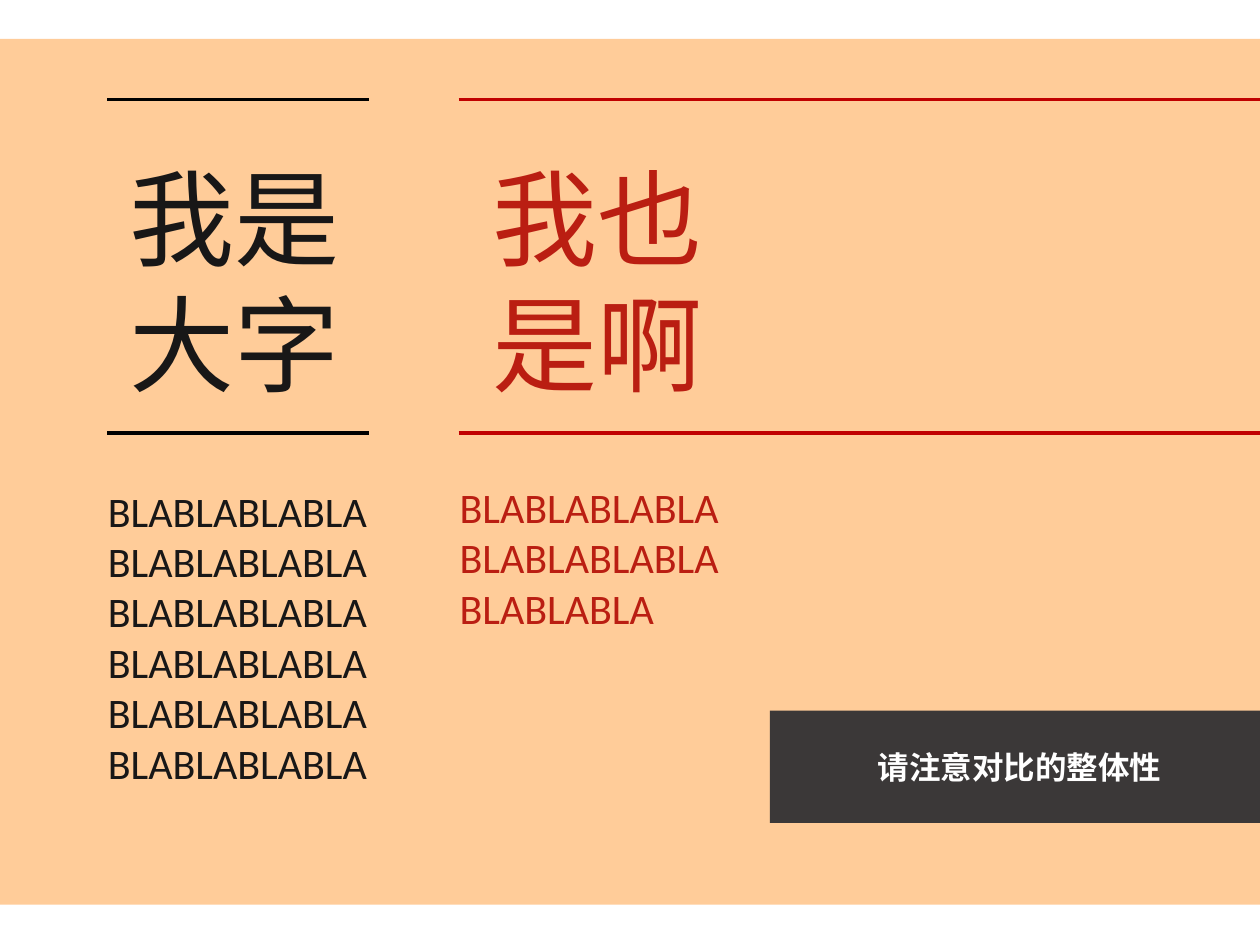
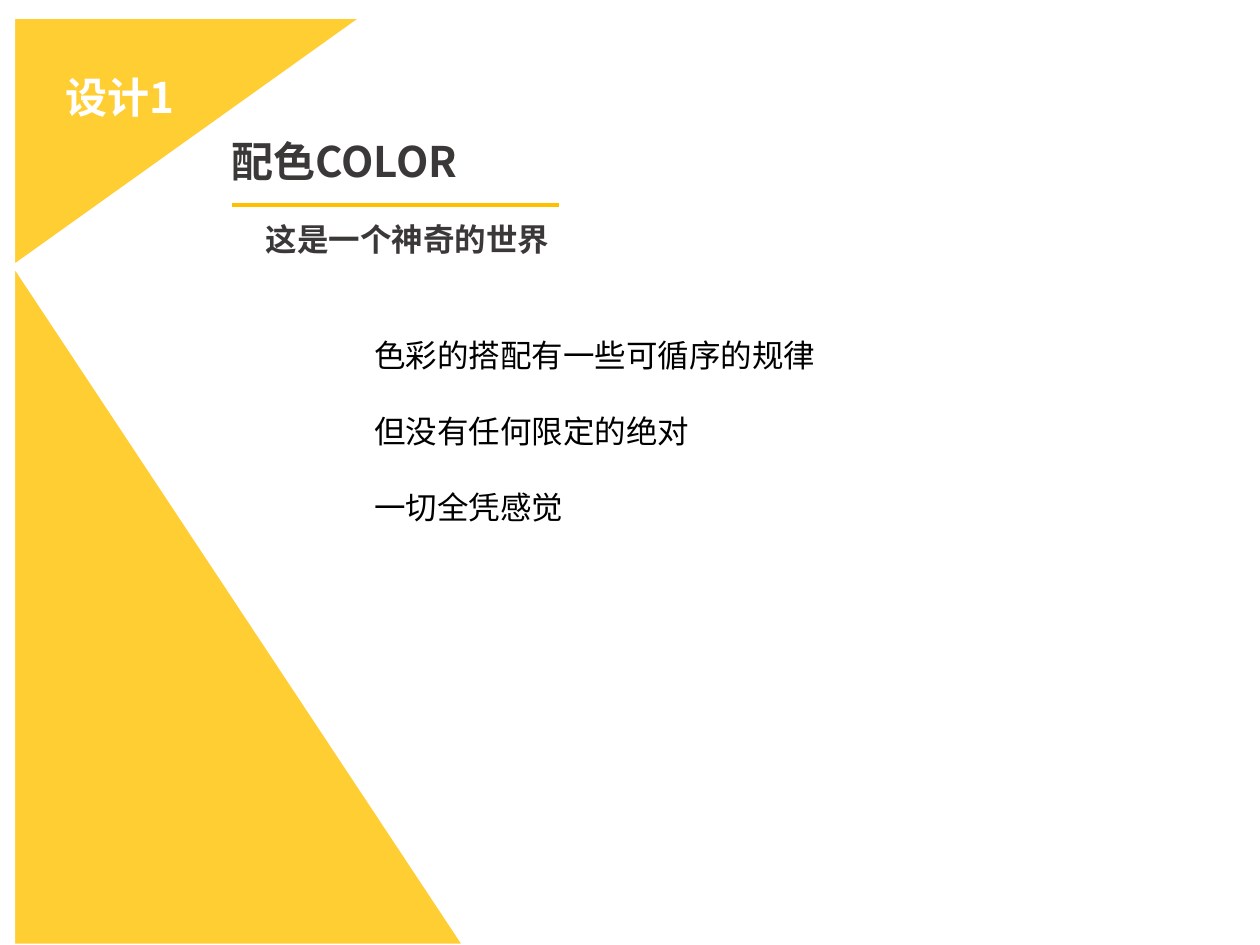
import pptx
import pptx.dml.color
import pptx.enum.lang
import pptx.enum.shapes
import pptx.enum.text
import pptx.oxml.ns
import pptx.util
import lxml.etree

COLORS = {
    "paper": "FFFFFF",
    "peach": "FFCC99",
    "ink": "181717",
    "black": "000000",
    "red": "BA1E12",
    "red_rule": "C00000",
    "charcoal": "3B3838",
    "yellow": "FFCE33",
    "gold_rule": "FFC000",
}
BODY_FONT = "Calibri"
HEADING_FONT = "Noto Sans CJK SC"
COLUMNS, ROWS = 100, 75
SHAPES = pptx.enum.shapes.MSO_SHAPE
ALIGN = pptx.enum.text.PP_ALIGN
ANCHOR = pptx.enum.text.MSO_ANCHOR


class Deck:
    def __init__(self):
        self.presentation = pptx.Presentation()
        self.presentation.slide_width = pptx.util.Inches(10)
        self.presentation.slide_height = pptx.util.Inches(7.5)
        self.slide = None

    def color(self, name):
        return pptx.dml.color.RGBColor.from_string(COLORS[name])

    def grid(self, column, row):
        return (
            round(self.presentation.slide_width * column / COLUMNS),
            round(self.presentation.slide_height * row / ROWS),
        )

    def add_slide(self):
        self.slide = self.presentation.slides.add_slide(self.presentation.slide_layouts[6])
        fill = self.slide.background.fill
        fill.solid()
        fill.fore_color.rgb = self.color("paper")

    def add_block(self, column, row, width, height, color, kind=SHAPES.RECTANGLE, outline=None, flipped=False):
        shape = self.slide.shapes.add_shape(kind, *self.grid(column, row), *self.grid(width, height))
        shape.shadow.inherit = False
        shape.fill.solid()
        shape.fill.fore_color.rgb = self.color(color)
        if outline:
            shape.line.color.rgb = self.color(outline)
            shape.line.width = pptx.util.Pt(1.5)
        else:
            shape.line.fill.background()
        if flipped:
            shape._element.spPr.xfrm.set("flipV", "1")
        return shape

    def add_rule(self, left, right, row, color):
        connector = self.slide.shapes.add_connector(
            pptx.enum.shapes.MSO_CONNECTOR.STRAIGHT, *self.grid(left, row), *self.grid(right, row)
        )
        connector.line.color.rgb = self.color(color)
        connector.line.width = pptx.util.Pt(2.25)
        lxml.etree.SubElement(connector._element.spPr, pptx.oxml.ns.qn("a:effectLst"))

    def add_text(self, column, row, width, height, text, **style):
        box = self.slide.shapes.add_textbox(*self.grid(column, row), *self.grid(width, height))
        self.set_text(box, text, **style)

    def set_text(self, shape, text, size, color, font=BODY_FONT, bold=False,
                 align=ALIGN.LEFT, anchor=ANCHOR.TOP, gap=0):
        frame = shape.text_frame
        frame.word_wrap = True
        frame.vertical_anchor = anchor
        frame.text = text
        for index, paragraph in enumerate(frame.paragraphs):
            paragraph.alignment = align
            if index and gap:
                paragraph.space_before = pptx.util.Pt(gap)
            for run in paragraph.runs:
                run.font.name = font
                run.font.size = pptx.util.Pt(size)
                run.font.bold = bold
                run.font.color.rgb = self.color(color)
                run.font.language_id = pptx.enum.lang.MSO_LANGUAGE_ID.SIMPLIFIED_CHINESE


def build_contrast_slide(deck):
    deck.add_slide()
    deck.add_block(0, 3.1, COLUMNS, 68.7, "peach")
    centered = {"align": ALIGN.CENTER, "anchor": ANCHOR.MIDDLE}
    for column, text, color in ((8.5, "我是\n大字", "ink"), (37.3, "我也是啊", "red")):
        deck.add_text(column, 12, 20.3, 20.3, text, size=60, color=color, **centered)
    for left, right, color in ((8.5, 29.3, "black"), (36.4, COLUMNS, "red_rule")):
        for row in (7.9, 34.4):
            deck.add_rule(left, right, row, color)
    deck.add_text(7.5, 36.3, 22.7, 28.4, "BLA" * 24, size=24, color="ink", **centered)
    deck.add_text(35.5, 35.8, 22.7, 16.8, "BLA" * 11, size=24, color="red", anchor=ANCHOR.MIDDLE)
    banner = deck.add_block(61.1, 56.4, 39.6, 8.9, "charcoal")
    deck.set_text(banner, "请注意对比的整体性", size=18, color="paper", bold=True, **centered)


def build_color_slide(deck):
    deck.add_slide()
    triangle = {"color": "yellow", "kind": SHAPES.RIGHT_TRIANGLE, "outline": "paper"}
    deck.add_block(1.1, 1.4, 27.6, 19.7, flipped=True, **triangle)
    deck.add_block(1.1, 21.1, 35.7, 53.9, **triangle)
    heading = {"size": 24, "font": HEADING_FONT, "bold": True}
    deck.add_text(4.2, 5.2, 14.2, 5, "设计1", color="paper", **heading)
    deck.add_text(17.4, 10.3, 27, 5, "配色COLOR", color="charcoal", **heading)
    deck.add_text(20.1, 17, 27.4, 4, "这是一个神奇的世界", size=18, color="charcoal", bold=True)
    deck.add_rule(18.4, 44.4, 16.3, "gold_rule")
    deck.add_text(
        28.7, 26.2, 54.9, 16.2,
        "色彩的搭配有一些可循序的规律\n但没有任何限定的绝对\n一切全凭感觉",
        size=18, color="black", gap=21.6,
    )


def main():
    deck = Deck()
    build_contrast_slide(deck)
    build_color_slide(deck)
    deck.presentation.save("out.pptx")


if __name__ == "__main__":
    main()
